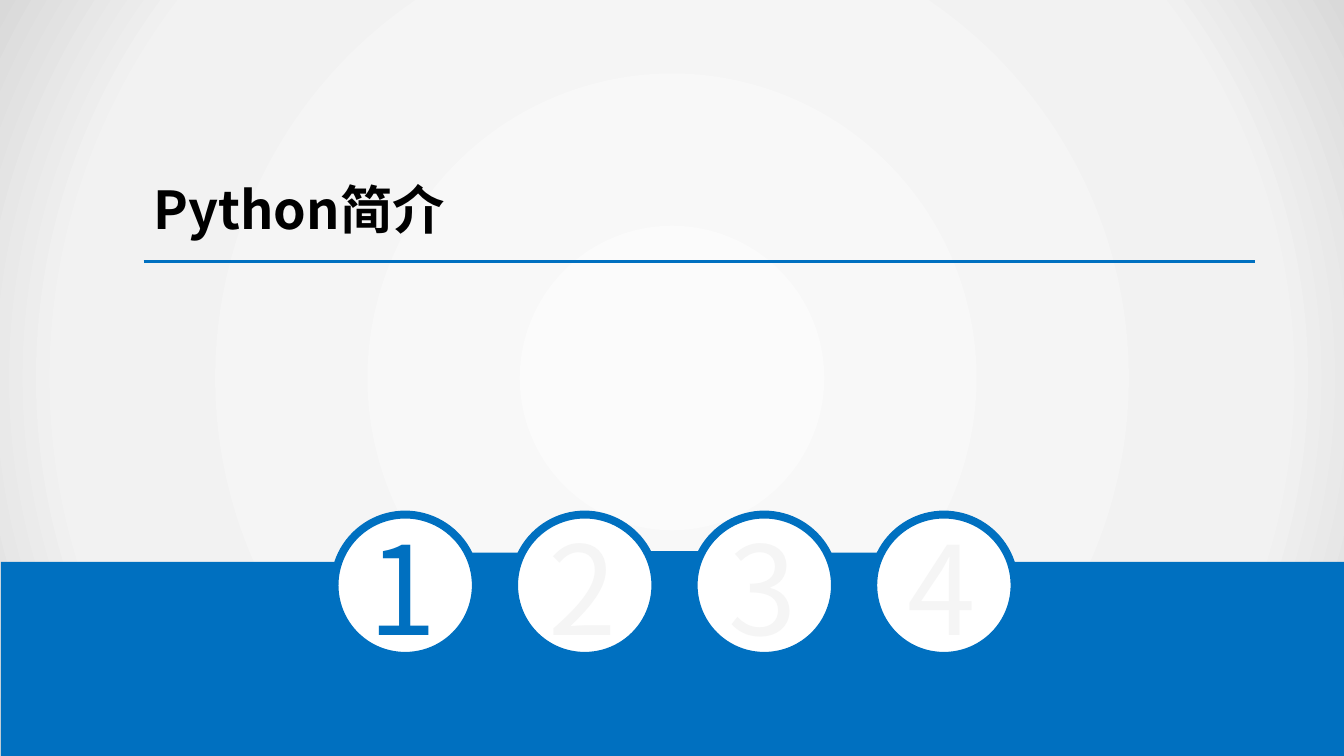
from math import cos, pi, sin

from lxml import etree
from pptx import Presentation
from pptx.dml.color import RGBColor
from pptx.enum.shapes import MSO_CONNECTOR, MSO_SHAPE
from pptx.enum.text import MSO_ANCHOR, MSO_AUTO_SIZE, PP_ALIGN
from pptx.oxml import parse_xml
from pptx.oxml.ns import nsdecls, qn
from pptx.util import Pt

BLUE = RGBColor(0x00, 0x70, 0xC0)
WHITE = RGBColor(0xFF, 0xFF, 0xFF)
BLACK = RGBColor(0x00, 0x00, 0x00)
PALE = RGBColor(0xF5, 0xF5, 0xF5)
BG_STOPS = [
    (0, RGBColor(0xFB, 0xFB, 0xFB)),
    (79, RGBColor(0xF2, 0xF2, 0xF2)),
    (100, RGBColor(0xD9, 0xD9, 0xD9)),
]
FONT = "Noto Sans CJK SC"
W, H = 720, 405
BAND_TOP = 301
STEP = 96.2


def paint(sp, fill, line=None, width=1):
    sp.shadow.inherit = False
    sp.fill.solid()
    sp.fill.fore_color.rgb = fill
    if line is None:
        sp.line.fill.background()
    else:
        sp.line.color.rgb = line
        sp.line.width = Pt(width)


def style(r, size, color, bold=False):
    r.font.name = FONT
    r.font.size = Pt(size)
    r.font.bold = bold
    r.font.color.rgb = color
    etree.SubElement(r.font._element, qn("a:ea")).set("typeface", FONT)


prs = Presentation()
prs.slide_width, prs.slide_height = Pt(W), Pt(H)
s = prs.slides.add_slide(prs.slide_layouts[5])

s.background.fill.gradient()
grad = s._element.find(".//" + qn("a:gradFill"))
stops = "".join(
    f'<a:gs pos="{pos * 1000}"><a:srgbClr val="{color}"/></a:gs>' for pos, color in BG_STOPS
)
grad.getparent().replace(grad, parse_xml(
    f'<a:gradFill {nsdecls("a")} rotWithShape="1"><a:gsLst>{stops}</a:gsLst>'
    '<a:path path="circle"><a:fillToRect l="50000" t="50000" r="50000" b="50000"/></a:path>'
    '</a:gradFill>'
))

for left, height, line in [(347, 28, BLUE), (437.8, 29.5, None), (249.1, 29.5, None)]:
    sp = s.shapes.add_shape(MSO_SHAPE.RECTANGLE, Pt(left), Pt(296), Pt(34), Pt(height))
    paint(sp, BLUE, line, 2)

points = []
for i in range(3):
    center = 265.3 + i * STEP
    for k in range(13):
        angle = pi - k * pi / 12
        points.append((Pt(center + 12 * cos(angle)), Pt(BAND_TOP + 12 * sin(angle))))
points += [(Pt(x), Pt(y)) for x, y in [(W, BAND_TOP), (W, H), (0.5, H)]]
builder = s.shapes.build_freeform(Pt(0.5), Pt(BAND_TOP))
builder.add_line_segments(points, close=True)
paint(builder.convert_to_shape(), BLUE)

for i in range(4):
    sp = s.shapes.add_shape(
        MSO_SHAPE.OVAL, Pt(179.2 + i * STEP), Pt(275.7), Pt(75.7), Pt(75.7)
    )
    paint(sp, WHITE, BLUE, 4.25)

title = s.shapes.title
title.left, title.top, title.width, title.height = Pt(77), Pt(83.5), Pt(305.3), Pt(57)
tf = title.text_frame
tf.text = "Python简介"
tf.word_wrap = True
tf.auto_size = MSO_AUTO_SIZE.NONE
tf.vertical_anchor = MSO_ANCHOR.MIDDLE
tf.margin_left = tf.margin_right = Pt(5.4)
tf.margin_top = tf.margin_bottom = Pt(2.7)
tf.paragraphs[0].alignment = PP_ALIGN.LEFT
style(tf.paragraphs[0].runs[0], 28, BLACK, True)

rule = s.shapes.add_connector(MSO_CONNECTOR.STRAIGHT, Pt(77), Pt(140.2), Pt(672.5), Pt(140.2))
rule.line.color.rgb = BLUE
rule.line.width = Pt(1.25)
etree.SubElement(rule._element.spPr, qn("a:effectLst"))

for i in range(4):
    box = s.shapes.add_textbox(Pt(190.6 + i * STEP), Pt(270.7), Pt(50.4), Pt(87.1))
    tf = box.text_frame
    tf.text = str(i + 1)
    tf.word_wrap = False
    tf.auto_size = MSO_AUTO_SIZE.SHAPE_TO_FIT_TEXT
    style(tf.paragraphs[0].runs[0], 66, BLUE if i == 0 else PALE)

prs.save("out.pptx")
